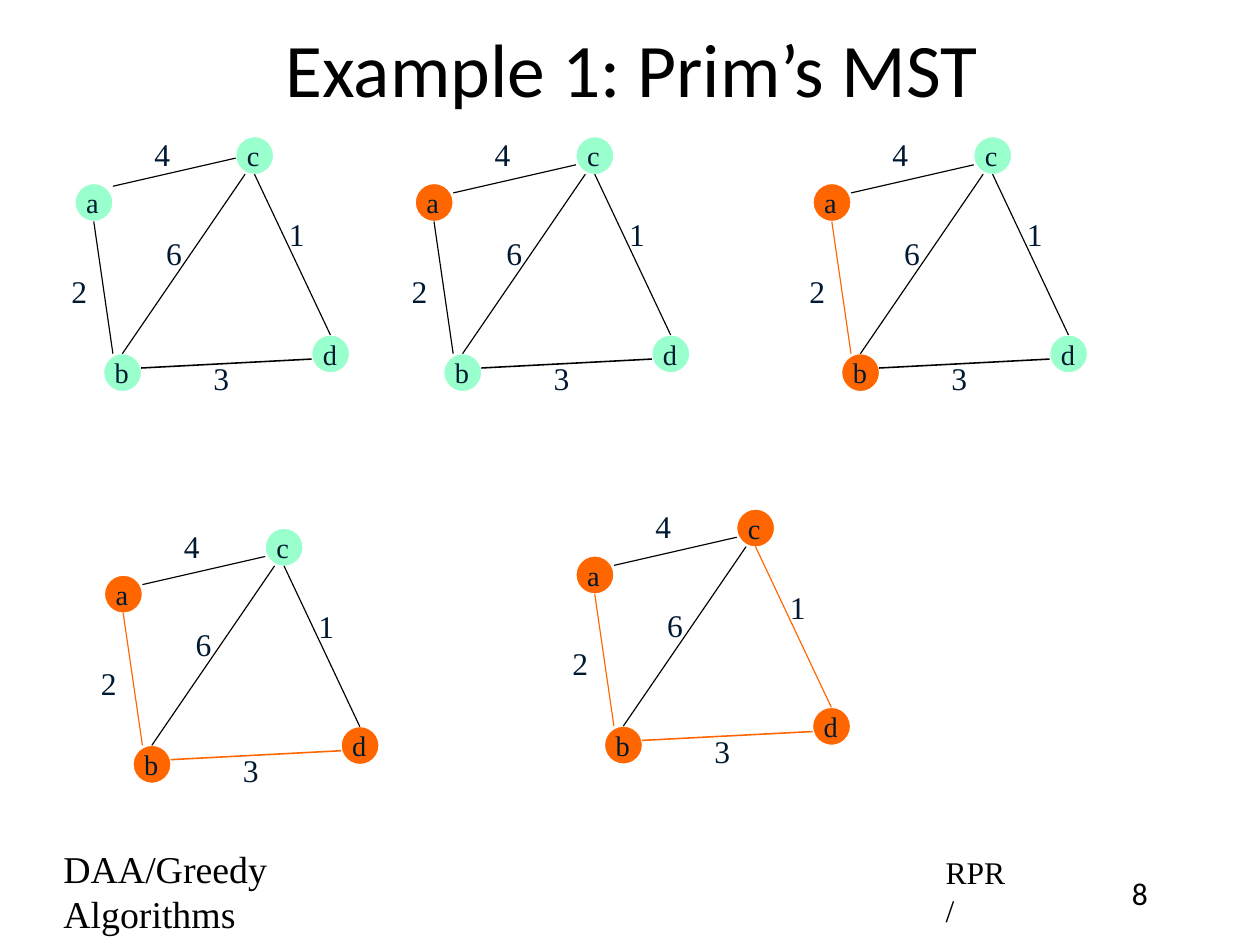
from dataclasses import dataclass

from lxml.etree import SubElement
from pptx import Presentation
from pptx.dml.color import RGBColor
from pptx.enum.shapes import MSO_CONNECTOR, MSO_SHAPE
from pptx.enum.text import MSO_ANCHOR, PP_ALIGN
from pptx.oxml.ns import qn
from pptx.util import Cm, Pt


@dataclass(frozen=True)
class Theme:
    black: str = "000000"
    white: str = "FFFFFF"
    label: str = "001932"
    open_node: str = "99FFCC"
    chosen: str = "FF6600"
    sans: str = "Calibri"
    serif: str = "Times New Roman"
    title_size: int = 48
    course_size: int = 24
    text_size: int = 20
    node_size: int = 18


THEME = Theme()
NODE_DIAMETER = 0.85
FIRST_EDGE_LIFT = 0.15

# Offsets in cm from the top left corner of node a.
NODES = {"c": (3.6, -1.05), "d": (5.3, 3.39), "b": (0.64, 3.81), "a": (0, 0)}
# Edge: start, end, line width in points, weight, place of the weight.
EDGES = {
    "ac": ((0.85, 0.21), (3.6, -0.42), 0.75, "4", (1.65, -1.22)),
    "ab": ((0.85, 3.81), (0.42, 0.85), 0.75, "2", (-0.21, 1.85)),
    "bc": ((1.06, 3.81), (3.81, -0.21), 0.75, "6", (1.91, 0.99)),
    "cd": ((5.72, 3.39), (4.02, -0.21), 0.75, "1", (4.66, 0.58)),
    "bd": ((1.48, 4.13), (5.3, 3.93), 1, "3", (2.97, 3.81)),
}
# Step: place of node a, chosen nodes, chosen edges, lift of edge ac.
STEPS = [
    ((1.68, 4.11), "", (), FIRST_EDGE_LIFT),
    ((9.3, 4.11), "a", (), 0),
    ((18.21, 4.11), "ab", ("ab",), 0),
    ((2.34, 12.88), "abd", ("ab", "bd"), 0),
    ((12.9, 12.45), "abcd", ("ab", "bd", "cd"), 0),
]


def add_text(shapes, text, area, size, font=THEME.serif, color=THEME.black,
             align=PP_ALIGN.LEFT, anchor=MSO_ANCHOR.TOP, wrap=True,
             inset=0.15, left_inset=None):
    box = shapes.add_textbox(*map(Cm, area))
    frame = box.text_frame
    frame.text = text
    frame.word_wrap = wrap
    frame.vertical_anchor = anchor
    frame.margin_top = frame.margin_bottom = frame.margin_right = Cm(inset)
    frame.margin_left = Cm(inset if left_inset is None else left_inset)
    para = frame.paragraphs[0]
    para.alignment = align
    span = para.runs[0]
    span.font.name = font
    span.font.size = Pt(size)
    span.font.color.rgb = RGBColor.from_string(color)


def add_node(shapes, name, left, top, color):
    circle = shapes.add_shape(MSO_SHAPE.OVAL, Cm(left), Cm(top),
                              Cm(NODE_DIAMETER), Cm(NODE_DIAMETER))
    circle.shadow.inherit = False
    circle.fill.solid()
    circle.fill.fore_color.rgb = RGBColor.from_string(color)
    circle.line.color.rgb = RGBColor.from_string(THEME.white)
    circle.line.width = Pt(0.75)
    width = 0.61 if name in "bd" else 0.56
    add_text(shapes, name, (left + 0.12, top - 0.06, width, 0.97),
             THEME.node_size, color=THEME.label, anchor=MSO_ANCHOR.MIDDLE,
             wrap=False, inset=0.13)


def add_edge(shapes, start, end, color, width):
    edge = shapes.add_connector(MSO_CONNECTOR.STRAIGHT, *map(Cm, start + end))
    edge.line.color.rgb = RGBColor.from_string(color)
    edge.line.width = Pt(width)
    SubElement(edge.element.spPr, qn("a:effectLst"))


def add_graph(page, origin, chosen_nodes, chosen_edges, lift):
    """Draw one step of the algorithm as a group."""
    shapes = page.shapes.add_group_shape().shapes

    def place(offset, rise=0):
        return origin[0] + offset[0], origin[1] + offset[1] - rise

    for name, offset in NODES.items():
        color = THEME.chosen if name in chosen_nodes else THEME.open_node
        add_node(shapes, name, *place(offset), color)
    for name, (start, end, width, weight, weight_offset) in EDGES.items():
        color = THEME.chosen if name in chosen_edges else THEME.black
        rise = lift if name == "ac" else 0
        add_edge(shapes, place(start, rise), place(end, rise), color, width)
        add_text(shapes, weight, (*place(weight_offset), 0.64, 1.04),
                 THEME.text_size, color=THEME.label, wrap=False, inset=0.13)


def add_footer(page):
    add_text(page.shapes, "8", (24.69, 19.41, 1.68, 1.07), THEME.text_size,
             font=THEME.sans, align=PP_ALIGN.CENTER)
    add_text(page.shapes, "DAA/Greedy Algorithms", (1.17, 19.35, 5.6, 1.19),
             THEME.course_size, anchor=MSO_ANCHOR.MIDDLE, left_inset=0.25)
    add_text(page.shapes, "RPR/", (20.93, 19.41, 1.8, 1.07),
             THEME.text_size, anchor=MSO_ANCHOR.MIDDLE, left_inset=0.25)


def main():
    deck = Presentation()
    deck.slide_width, deck.slide_height = Cm(28.22), Cm(21.16)
    page = deck.slides.add_slide(deck.slide_layouts[6])
    add_text(page.shapes, "Example 1: Prim’s MST", (2.11, 0.18, 23.98, 2.64),
             THEME.title_size, font=THEME.sans, align=PP_ALIGN.CENTER,
             anchor=MSO_ANCHOR.MIDDLE, left_inset=0.25)
    add_footer(page)
    for step in STEPS:
        add_graph(page, *step)
    deck.save("out.pptx")


if __name__ == "__main__":
    main()
